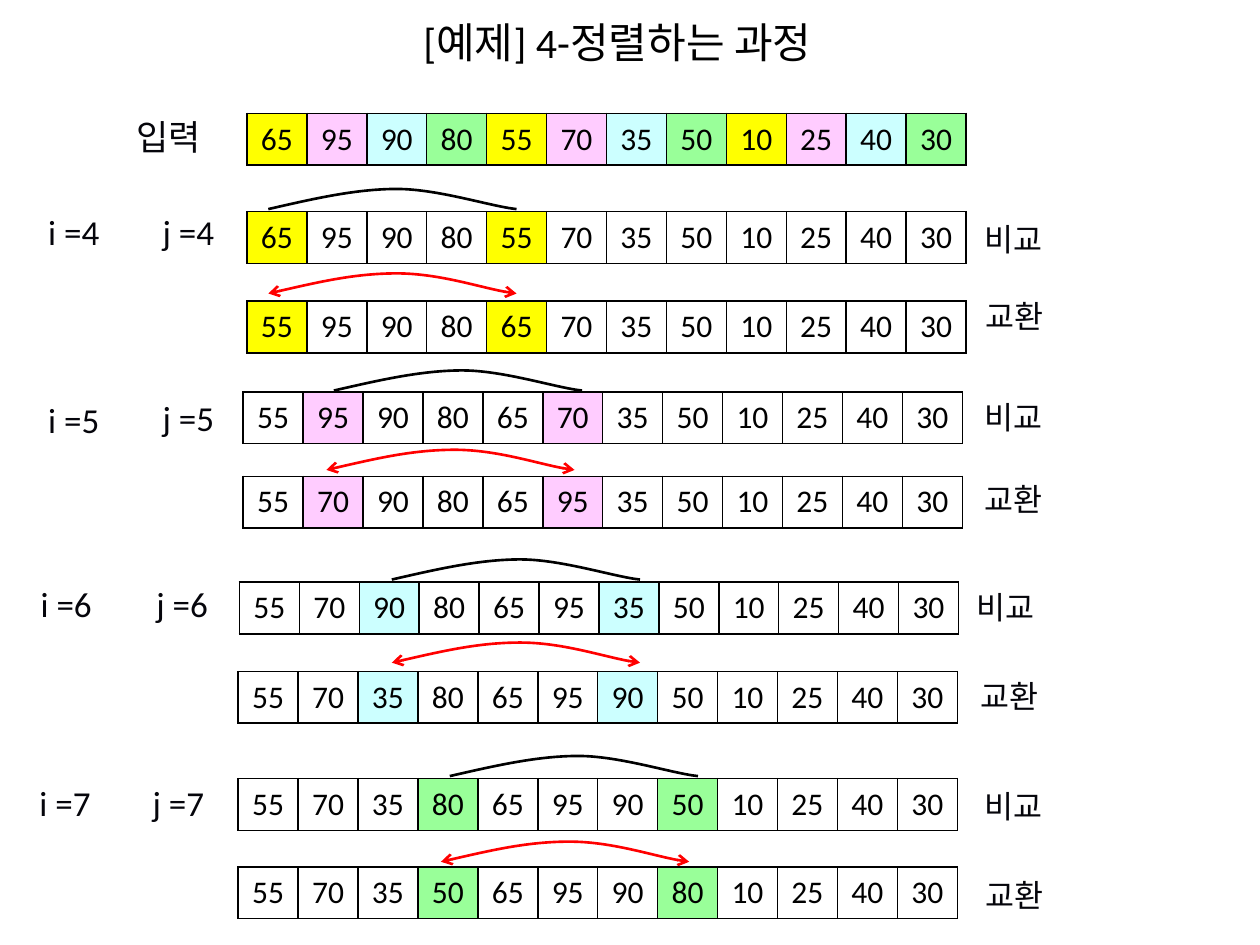
from dataclasses import dataclass

from lxml.etree import SubElement
from pptx import Presentation
from pptx.dml.color import RGBColor
from pptx.enum.text import MSO_ANCHOR, PP_ALIGN
from pptx.oxml.ns import qn
from pptx.util import Inches, Pt


@dataclass(frozen=True)
class Theme:
    latin: str = "Calibri"
    korean: str = "Noto Sans CJK KR"
    black: str = "000000"
    ink: str = "05050B"
    swap: str = "FF0000"
    groups: tuple = ("FFFF00", "FFCCFF", "CCFFFF", "99FF99")
    title_size: int = 24
    index_size: int = 20
    value_size: int = 18


@dataclass(frozen=True)
class Stage:
    """Left and top of the array, the caption and the arc of one stage."""
    array: tuple
    caption: tuple
    arc: tuple


@dataclass(frozen=True)
class Step:
    i_label: tuple
    j_label: tuple
    compare: Stage
    swap: Stage


THEME = Theme()
GAP = 4
VALUES = [65, 95, 90, 80, 55, 70, 35, 50, 10, 25, 40, 30]
ARRAY_WIDTH, ARRAY_HEIGHT = 5.71, 0.41
STEPS = [
    Step((0.14, 1.62), (1.05, 1.62),
         Stage((1.96, 1.68), (7.5, 1.7), (2.13, 1.5)),
         Stage((1.96, 2.39), (7.51, 2.31), (2.13, 2.17))),
    Step((0.14, 3.11), (1.05, 3.09),
         Stage((1.93, 3.11), (7.5, 3.11), (2.65, 2.94)),
         Stage((1.93, 3.78), (7.5, 3.76), (2.59, 3.57))),
    Step((0.08, 4.57), (1, 4.57),
         Stage((1.9, 4.62), (7.44, 4.62), (3.11, 4.44)),
         Stage((1.89, 5.33), (7.47, 5.32), (3.11, 5.1))),
    Step((0.07, 6.15), (0.97, 6.15),
         Stage((1.89, 6.18), (7.5, 6.2), (3.57, 6)),
         Stage((1.89, 6.88), (7.51, 6.9), (3.5, 6.68))),
]


def format_text(frame, size, color, latin=THEME.latin):
    paragraph = frame.paragraphs[0]
    paragraph.alignment = PP_ALIGN.CENTER
    for run in paragraph.runs:
        run.font.size = Pt(size)
        run.font.name = latin
        run.font.color.rgb = RGBColor.from_string(color)
        SubElement(run.font._element, qn("a:ea"), typeface=THEME.korean)


def add_title(slide, text):
    title = slide.shapes.title
    title.left, title.top = Inches(0.39), Inches(0.08)
    title.width, title.height = Inches(9.02), Inches(0.5)
    title.text_frame.text = text
    title.text_frame.vertical_anchor = MSO_ANCHOR.TOP
    format_text(title.text_frame, THEME.title_size, THEME.black)


def add_label(slide, text, corner, width, height, size, latin):
    left, top = corner
    label = slide.shapes.add_textbox(Inches(left), Inches(top), Inches(width), Inches(height))
    frame = label.text_frame
    frame.word_wrap = True
    frame.vertical_anchor = MSO_ANCHOR.MIDDLE
    frame.text = text
    format_text(frame, size, THEME.ink, latin)


def add_index(slide, text, corner):
    add_label(slide, text, corner, 0.83, 0.44, THEME.index_size, THEME.latin)


def outline_cell(cell):
    """Draw the four borders; they must stand before the fill in the cell XML."""
    properties = cell._tc.get_or_add_tcPr()
    for position, side in enumerate(("a:lnL", "a:lnR", "a:lnT", "a:lnB")):
        border = SubElement(properties, qn(side), w=str(Pt(1)))
        properties.insert(position, border)
        fill = SubElement(border, qn("a:solidFill"))
        SubElement(fill, qn("a:srgbClr"), val=THEME.black)


def add_array(slide, values, corner, fills):
    """Draw the values as one row; fills maps positions to colours."""
    left, top = corner
    table = slide.shapes.add_table(1, len(values), Inches(left), Inches(top),
                                   Inches(ARRAY_WIDTH), Inches(ARRAY_HEIGHT)).table
    table.first_row = table.horz_banding = False
    for position, value in enumerate(values):
        cell = table.cell(0, position)
        cell.text = str(value)
        cell.vertical_anchor = MSO_ANCHOR.MIDDLE
        format_text(cell.text_frame, THEME.value_size, THEME.black)
        if position in fills:
            cell.fill.solid()
            cell.fill.fore_color.rgb = RGBColor.from_string(fills[position])
        else:
            cell.fill.background()
        outline_cell(cell)


def add_arc(slide, corner, color, arrows):
    """Draw a low arch, measured in hundredths of an inch from its corner."""
    left, top = corner
    builder = slide.shapes.build_freeform(0, 16, scale=Inches(0.01))
    builder.add_line_segments([(102, 0), (197, 16)], close=False)
    arc = builder.convert_to_shape(Inches(left), Inches(top))
    curves = [[(35, 8), (69, 0), (102, 0)], [(135, 0), (177, 14), (197, 16)]]
    path = arc._element.spPr.find(".//" + qn("a:path"))
    for segment, points in zip(path.findall(qn("a:lnTo")), curves):
        path.remove(segment)
        curve = SubElement(path, qn("a:cubicBezTo"))
        for x, y in points:
            SubElement(curve, qn("a:pt"), x=str(x), y=str(y))
    arc.shadow.inherit = False
    arc.fill.background()
    arc.line.width = Pt(1.5)
    arc.line.color.rgb = RGBColor.from_string(color)
    if arrows:
        for end in ("a:headEnd", "a:tailEnd"):
            SubElement(arc.line._get_or_add_ln(), qn(end), type="arrow")


def add_stage(slide, stage, caption, values, fills, color, arrows):
    add_arc(slide, stage.arc, color, arrows)
    add_array(slide, values, stage.array, fills)
    add_label(slide, caption, stage.caption, 1.08, 0.4, THEME.value_size, THEME.korean)


def main():
    deck = Presentation()
    deck.slide_width, deck.slide_height = Inches(10), Inches(7.5)
    slide = deck.slides.add_slide(deck.slide_layouts[5])
    add_title(slide, "[예제] 4-정렬하는 과정")

    add_label(slide, "입력", (0.8, 0.86), 1.08, 0.44, THEME.index_size, THEME.korean)
    group_fills = {n: THEME.groups[n % GAP] for n in range(len(VALUES))}
    add_array(slide, VALUES, (1.96, 0.9), group_fills)

    values = list(VALUES)
    for i, step in enumerate(STEPS, start=GAP):
        first = i - GAP
        pair = {n: group_fills[n] for n in (first, i)}
        add_index(slide, f" i ={i}", step.i_label)
        add_index(slide, f" j ={i}", step.j_label)
        add_stage(slide, step.compare, "비교", values, pair, THEME.black, arrows=False)
        values[first], values[i] = values[i], values[first]
        add_stage(slide, step.swap, "교환", values, pair, THEME.swap, arrows=True)

    deck.save("out.pptx")


if __name__ == "__main__":
    main()
